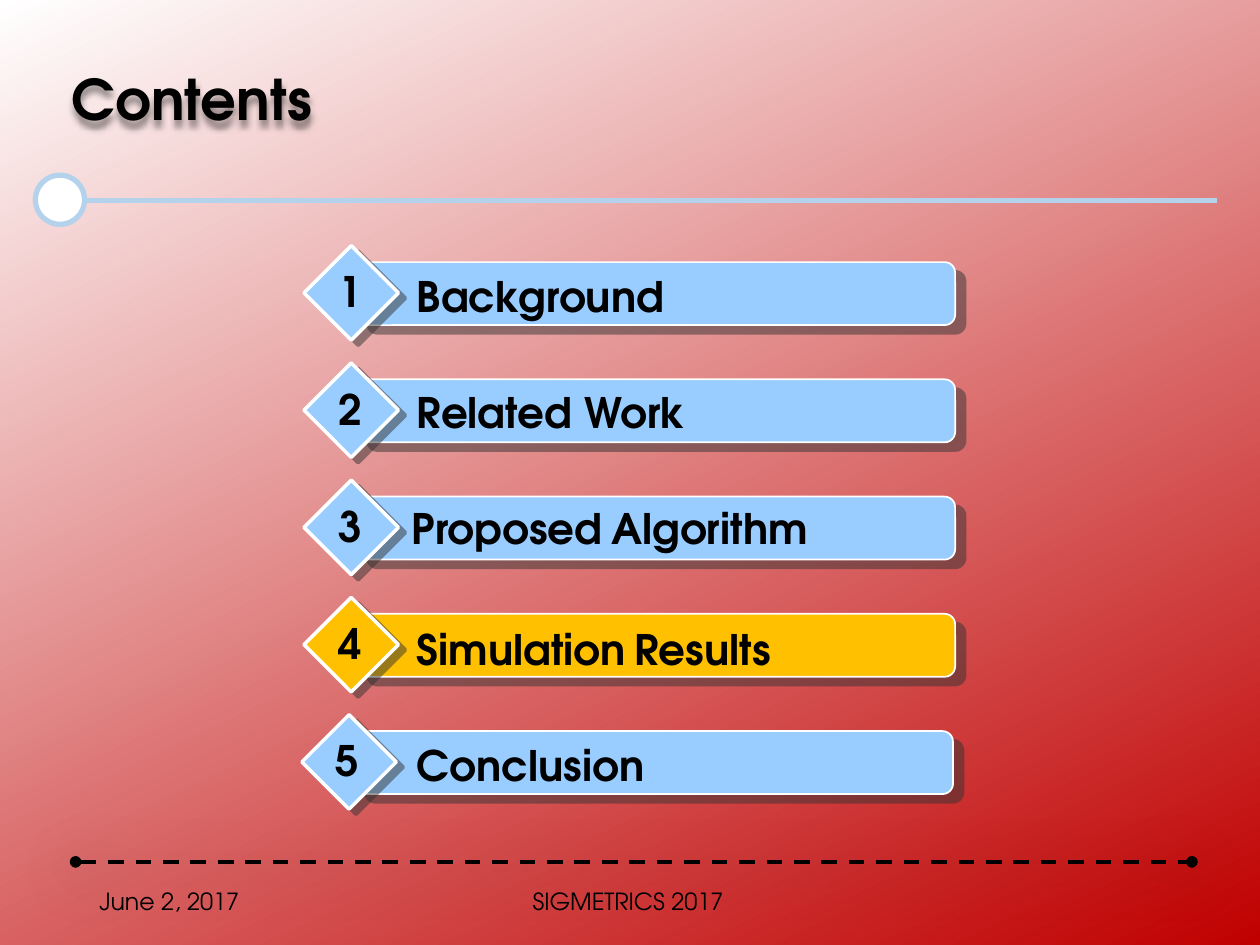
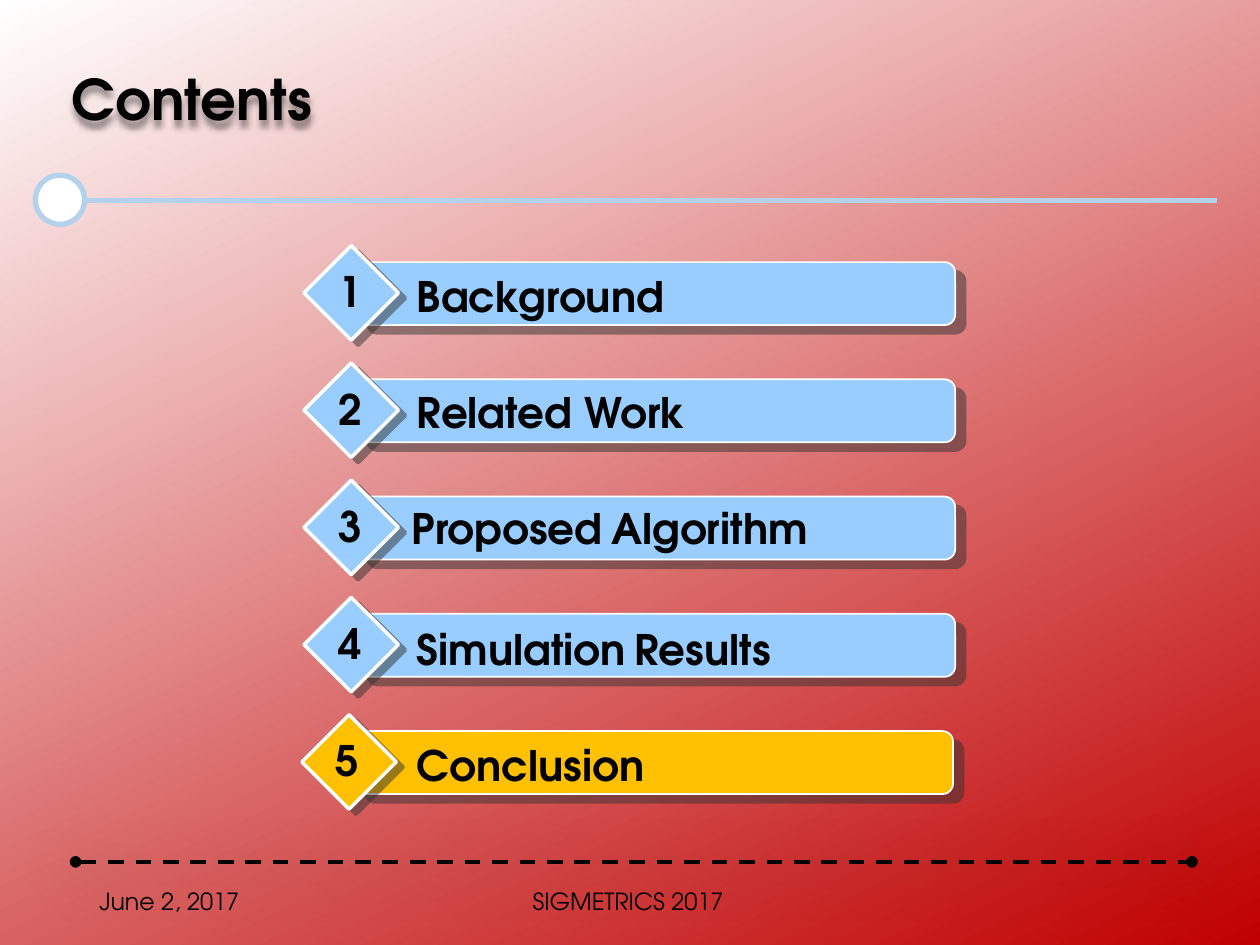
from lxml.etree import SubElement
from pptx import Presentation
from pptx.dml.color import RGBColor
from pptx.enum.dml import MSO_LINE
from pptx.enum.shapes import MSO_CONNECTOR, MSO_SHAPE
from pptx.enum.text import MSO_ANCHOR, MSO_AUTO_SIZE, PP_ALIGN
from pptx.oxml.ns import qn
from pptx.util import Pt

FONT = "TeX Gyre Adventor"
BLACK = RGBColor(0x00, 0x00, 0x00)
WHITE = RGBColor(0xFF, 0xFF, 0xFF)
RED = RGBColor(0xC0, 0x00, 0x00)
RULE_BLUE = RGBColor(0xB5, 0xD2, 0xEC)
ITEM_BLUE = RGBColor(0x99, 0xCC, 0xFF)
ACTIVE = RGBColor(0xFF, 0xC0, 0x00)
SHADE = RGBColor(0x33, 0x33, 0x33)

# Text formats
TITLE = {"size": Pt(32), "bold": True}
ITEM = {"size": Pt(24), "bold": True}
GAP = {"size": Pt(18), "bold": False}
FOOTER = {"size": Pt(13.5), "bold": False}

# Shadows: colour, opacity in %, blur, distance, direction in degrees
BAR_SHADOW = (SHADE, 50, 0, 7.8, 40)
DIAMOND_SHADOW = (SHADE, 50, 0, 5, 37)
LINE_SHADOW = (BLACK, 43, 36, 4, 90)
TITLE_SHADOW = (BLACK, 43, 4, 3, 90)

# Agenda rows: runs of the label, label left, label drop below bar top, row shift
ITEMS = [
    (["Background"], 231, 1.4, 0),
    (["Related Work"], 231, 0.7, 0),
    (["Proposed", "Algorithm"], 228.2, 0, 0),
    (["Simulation", "Results"], 231, 2.2, 0),
    (["Conclusion"], 231, 1.4, -1.2),
]
FIRST_TOP, ROW_PITCH = 149.8, 67


def set_shadow(sp, shadow=None):
    """Replace the theme shadow by the given one, or by none."""
    effects = SubElement(sp._element.spPr, qn("a:effectLst"))
    if shadow:
        color, opacity, blur, dist, angle = shadow
        outer = SubElement(effects, qn("a:outerShdw"), blurRad=str(Pt(blur)),
                           dist=str(Pt(dist)), dir=str(angle * 60000),
                           algn="ctr", rotWithShape="0")
        clr = SubElement(outer, qn("a:srgbClr"), val=str(color))
        SubElement(clr, qn("a:alpha"), val=str(opacity * 1000))


def add_figure(shapes, kind, box, fill, line, width, shadow=None):
    sp = shapes.add_shape(kind, *map(Pt, box))
    sp.fill.solid()
    sp.fill.fore_color.rgb = fill
    sp.line.color.rgb = line
    sp.line.width = Pt(width)
    set_shadow(sp, shadow)
    return sp


def add_rule(shapes, left, right, y, color, width, dash=None, ends=None, shadow=None):
    ln = shapes.add_connector(MSO_CONNECTOR.STRAIGHT, Pt(left), Pt(y), Pt(right), Pt(y))
    ln.line.color.rgb = color
    ln.line.width = Pt(width)
    if dash:
        ln.line.dash_style = dash
    if ends:
        for tag in ("a:headEnd", "a:tailEnd"):
            SubElement(ln.line._get_or_add_ln(), qn(tag), type=ends)
    set_shadow(ln, shadow)


def add_text(shapes, box, runs, align=PP_ALIGN.LEFT, **frame):
    sp = shapes.add_textbox(*map(Pt, box))
    tf = sp.text_frame
    for name, value in {"word_wrap": True, **frame}.items():
        setattr(tf, name, value)
    p = tf.paragraphs[0]
    p.alignment = align
    for text, style in runs:
        r = p.add_run()
        r.text = text
        for name, value in {"name": FONT, **style}.items():
            setattr(r.font, name, value)
        r.font.color.rgb = BLACK
    return sp


def add_frame(s):
    # Background gradient
    fill = s.background.fill
    fill.gradient()
    fill.gradient_angle = 360 - 65
    for stop, color in zip(fill.gradient_stops, (WHITE, RED)):
        stop.color.rgb = color

    # Title rule with ring, and dashed footer rule
    add_rule(s.shapes, 49.7, 695.5, 114.5, RULE_BLUE, 3)
    add_figure(s.shapes, MSO_SHAPE.OVAL, (20.2, 100.1, 28.1, 28.1), WHITE, RULE_BLUE, 3)
    add_rule(s.shapes, 43.2, 681.1, 492.5, BLACK, 2.25, MSO_LINE.DASH, "oval", LINE_SHADOW)

    # Title and footers
    title = add_text(s.shapes, (33.8, 6.5, 620.6, 104.4), [("Contents", TITLE)],
                     vertical_anchor=MSO_ANCHOR.MIDDLE)
    title.text_frame.paragraphs[0].line_spacing = 0.9
    set_shadow(title, TITLE_SHADOW)
    for text, left, width, align in (("June 2, 2017", 49.7, 162, PP_ALIGN.LEFT),
                                     ("SIGMETRICS 2017", 173.5, 370.8, PP_ALIGN.CENTER)):
        add_text(s.shapes, (left, 500.4, width, 28.8), [(text, FOOTER)], align,
                 vertical_anchor=MSO_ANCHOR.MIDDLE)


def add_item(s, number, item, fill):
    words, label_left, drop, shift = item
    top = FIRST_TOP + ROW_PITCH * (number - 1)
    shapes = s.shapes.add_group_shape().shapes

    bar = add_figure(shapes, MSO_SHAPE.ROUNDED_RECTANGLE, (203.8 + shift, top, 342, 36),
                     fill, WHITE, 1, BAR_SHADOW)
    bar.adjustments[0] = 0.167
    add_figure(shapes, MSO_SHAPE.DIAMOND, (173.7 + shift, top - 9.4, 54, 54),
               fill, WHITE, 2, DIAMOND_SHADOW)

    runs = [(words[0], ITEM)]
    for word in words[1:]:
        runs += [(" ", GAP), (word, ITEM)]
    grow = {"auto_size": MSO_AUTO_SIZE.SHAPE_TO_FIT_TEXT}
    add_text(shapes, (label_left, top + drop, 270, 36.7), runs, **grow)
    add_text(shapes, (185.8 + shift, top - 1.4, 28.1, 36.7), [(str(number), ITEM)],
             PP_ALIGN.CENTER, word_wrap=False, **grow)


def add_contents_slide(prs, active):
    s = prs.slides.add_slide(prs.slide_layouts[6])
    add_frame(s)
    for number, item in enumerate(ITEMS, 1):
        add_item(s, number, item, ACTIVE if number == active else ITEM_BLUE)


def main():
    prs = Presentation()
    prs.slide_width, prs.slide_height = Pt(720), Pt(540)
    for active in (4, 5):
        add_contents_slide(prs, active)
    prs.save("out.pptx")


if __name__ == "__main__":
    main()
